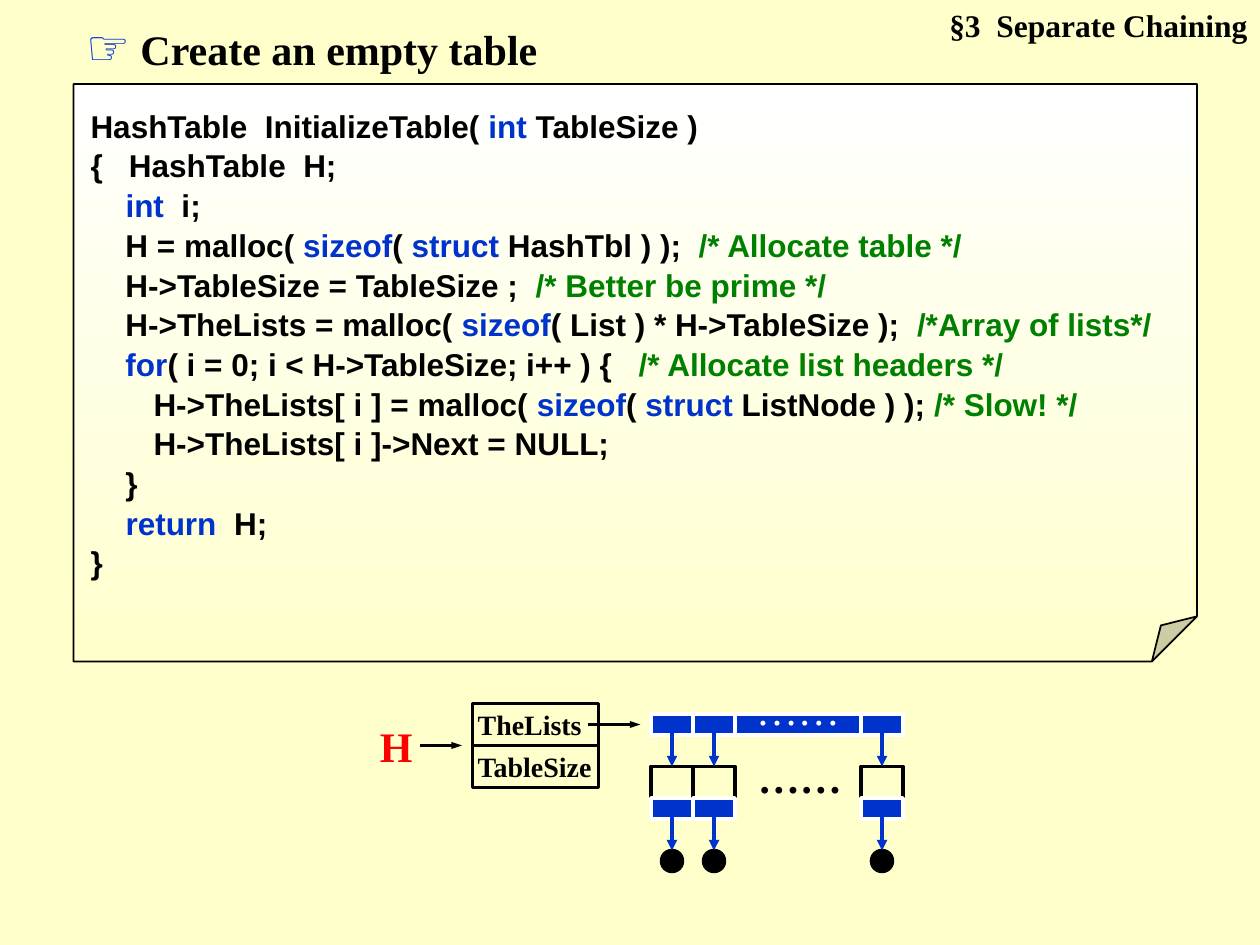
from lxml import etree
from pptx import Presentation
from pptx.dml.color import RGBColor
from pptx.enum.shapes import MSO_CONNECTOR, MSO_SHAPE
from pptx.enum.text import MSO_ANCHOR, MSO_AUTO_SIZE, PP_ALIGN
from pptx.oxml.ns import qn
from pptx.util import Pt

STRAIGHT = MSO_CONNECTOR.STRAIGHT
RECTANGLE, OVAL, NOTE = MSO_SHAPE.RECTANGLE, MSO_SHAPE.OVAL, MSO_SHAPE.FOLDED_CORNER
TOP, MIDDLE = MSO_ANCHOR.TOP, MSO_ANCHOR.MIDDLE
LEFT, CENTER, RIGHT = PP_ALIGN.LEFT, PP_ALIGN.CENTER, PP_ALIGN.RIGHT

PX = 9525
BLACK, WHITE, CREAM = "000000", "FFFFFF", "FFFFCC"
BLUE, GREEN, RED = "0033CC", "008000", "FF0000"
SERIF, SANS = "Times New Roman", "Arial"

color = RGBColor.from_string


def add_span(para, text, size, hue, font=SERIF, bold=True):
    span = para.add_run()
    span.text = text
    span.font.size = Pt(size)
    span.font.name = font
    span.font.bold = bold
    span.font.color.rgb = color(hue)


def add_box(kind, left, top, width, height, fill=None, line=BLACK, weight=2):
    box = page.shapes.add_shape(kind, left * PX, top * PX, width * PX, height * PX)
    box.shadow.inherit = False
    if fill:
        box.fill.solid()
        box.fill.fore_color.rgb = color(fill)
    else:
        box.fill.background()
    box.line.color.rgb = color(line)
    box.line.width = Pt(weight)
    return box


deck = Presentation()
deck.slide_width, deck.slide_height = 960 * PX, 720 * PX
page = deck.slides.add_slide(deck.slide_layouts[5])
page.background.fill.solid()
page.background.fill.fore_color.rgb = color(CREAM)

title = page.shapes.title
title.left, title.top, title.width, title.height = 56 * PX, 8 * PX, 488 * PX, 55 * PX
title.text_frame.auto_size = MSO_AUTO_SIZE.NONE
title.text_frame.vertical_anchor = TOP
para = title.text_frame.paragraphs[0]
para.alignment = LEFT
add_span(para, "☞", 28, BLUE, SANS)
add_span(para, " Create an empty table", 24, BLACK)

code = [
    [("HashTable  InitializeTable( ", BLACK), ("int", BLUE), (" TableSize )", BLACK)],
    [("{   HashTable  H;", BLACK)],
    [("    ", BLACK), ("int", BLUE), ("  i;", BLACK)],
    [("    H = malloc( ", BLACK), ("sizeof", BLUE), ("( ", BLACK), ("struct", BLUE),
     (" HashTbl ) );  ", BLACK), ("/* Allocate table */", GREEN)],
    [("    H->TableSize = TableSize ;  ", BLACK), ("/* Better be prime */", GREEN)],
    [("    H->TheLists = malloc( ", BLACK), ("sizeof", BLUE),
     ("( List ) * H->TableSize );  ", BLACK), ("/*Array of lists*/", GREEN)],
    [("    for", BLUE), ("( i = 0; i < H->TableSize; i++ ) {   ", BLACK),
     ("/* Allocate list headers */", GREEN)],
    [("\tH->TheLists[ i ] = malloc( ", BLACK), ("sizeof", BLUE), ("( ", BLACK),
     ("struct", BLUE), (" ListNode ) ); ", BLACK), ("/* Slow! */", GREEN)],
    [("\tH->TheLists[ i ]->Next = NULL;", BLACK)],
    [("    }", BLACK)],
    [("    ", BLACK), ("return ", BLUE), (" H;", BLACK)],
    [("}", BLACK)],
]
note = add_box(NOTE, 56, 64, 856, 440, weight=1)
geometry = note._element.spPr.find(qn("a:prstGeom"))
corner = geometry.find(qn("a:avLst"))
if corner is None:
    corner = etree.SubElement(geometry, qn("a:avLst"))
etree.SubElement(corner, qn("a:gd"), name="adj", fmla="val 7800")
note.fill.gradient()
note.fill.gradient_angle = 270
for stop, hue in zip(note.fill.gradient_stops, (WHITE, CREAM)):
    stop.color.rgb = color(hue)
frame = note.text_frame
frame.word_wrap = True
frame.vertical_anchor = TOP
frame.margin_left, frame.margin_top = 13 * PX, 16 * PX
for number, spans in enumerate(code):
    para = frame.add_paragraph() if number else frame.paragraphs[0]
    para.alignment = LEFT
    para.line_spacing = 1.05
    for text, hue in spans:
        add_span(para, text, 18, hue, SANS)

labels = [
    ("§3  Separate Chaining", 688, 0, 272, 38, 18, BLACK, RIGHT),
    ("H", 280, 544, 48, 48, 24, RED, LEFT),
    ("……", 568, 568, 88, 48, 24, BLACK, LEFT),
]
for text, left, top, width, height, size, hue, align in labels:
    label = page.shapes.add_textbox(left * PX, top * PX, width * PX, height * PX)
    label.text_frame.word_wrap = True
    para = label.text_frame.paragraphs[0]
    para.alignment = align
    add_span(para, text, size, hue)

for row, field in enumerate(("TheLists", "TableSize")):
    box = add_box(RECTANGLE, 360, 536 + 32 * row, 96, 32)
    frame = box.text_frame
    frame.word_wrap = False
    frame.vertical_anchor = MIDDLE
    frame.margin_left = 4 * PX
    frame.paragraphs[0].alignment = LEFT
    add_span(frame.paragraphs[0], field, 16, BLACK)

arrows = [
    (320, 568, 352, 568, BLACK, "sm", None),
    (448, 552, 488, 552, BLACK, "sm", None),
]
for left in (496, 528, 656):
    middle = left + 16
    add_box(RECTANGLE, left, 544, 32, 16, BLUE, WHITE)
    node = add_box(RECTANGLE, left, 584, 32, 24)
    add_box(RECTANGLE, left, 608, 32, 16, BLUE, WHITE)
    end = add_box(OVAL, middle - 8, 648, 16, 16, BLACK)
    arrows.append((middle, 552, middle, 584, BLUE, "med", node))
    arrows.append((middle, 616, middle, 648, BLUE, "med", end))

gap = add_box(RECTANGLE, 560, 544, 96, 16, BLUE, WHITE)
frame = gap.text_frame
frame.word_wrap = False
frame.vertical_anchor = MIDDLE
frame.margin_top, frame.margin_bottom = -12 * PX, 12 * PX
frame.paragraphs[0].alignment = CENTER
add_span(frame.paragraphs[0], "……", 24, WHITE, bold=False)

for left, top, right, bottom, hue, head, target in arrows:
    arrow = page.shapes.add_connector(STRAIGHT, left * PX, top * PX, right * PX, bottom * PX)
    arrow.line.color.rgb = color(hue)
    arrow.line.width = Pt(2)
    if target is not None:
        arrow.end_connect(target, 0)
    properties = arrow._element.spPr
    etree.SubElement(properties.find(qn("a:ln")), qn("a:tailEnd"), type="triangle", w=head, len="med")
    etree.SubElement(properties, qn("a:effectLst"))

deck.save("out.pptx")
